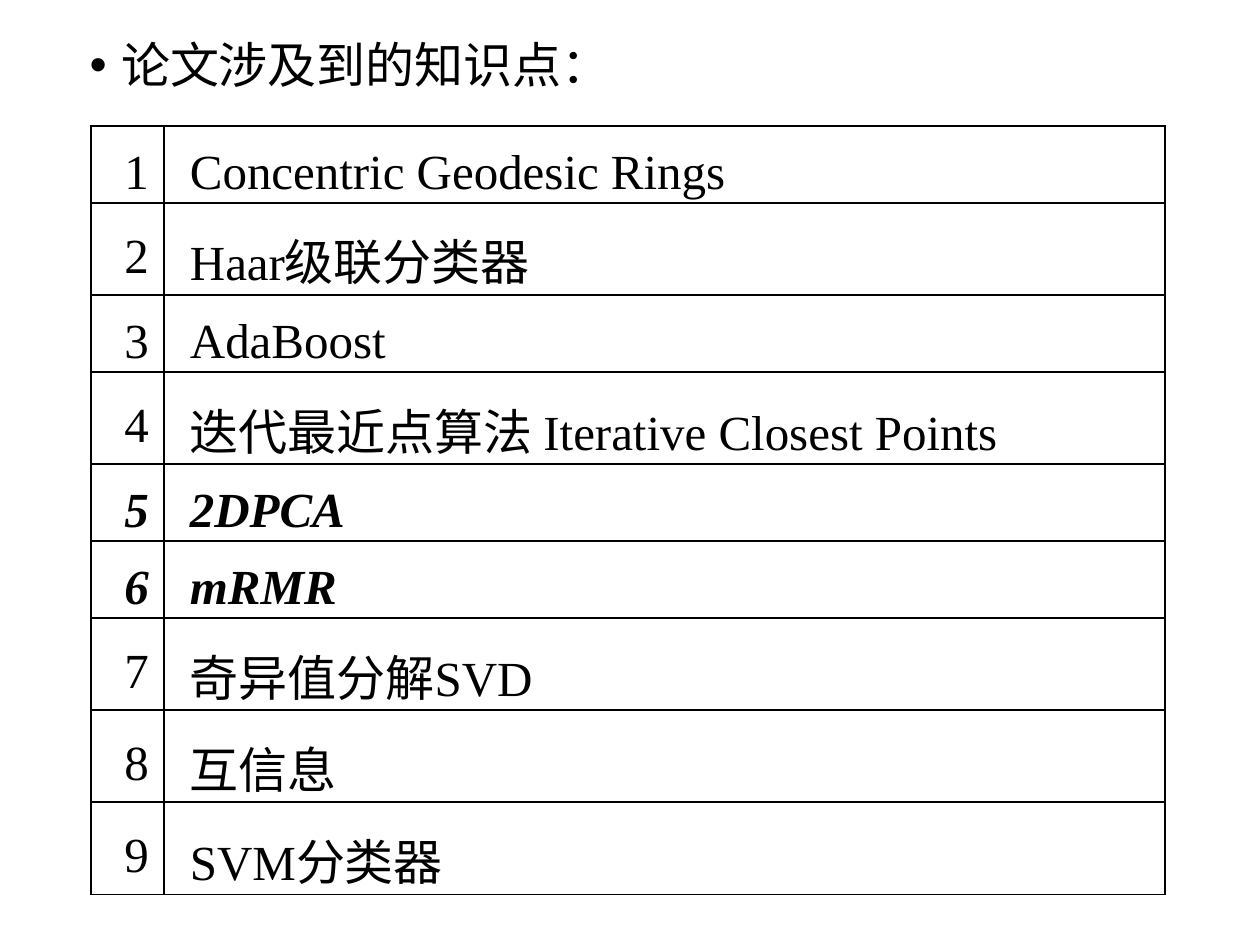
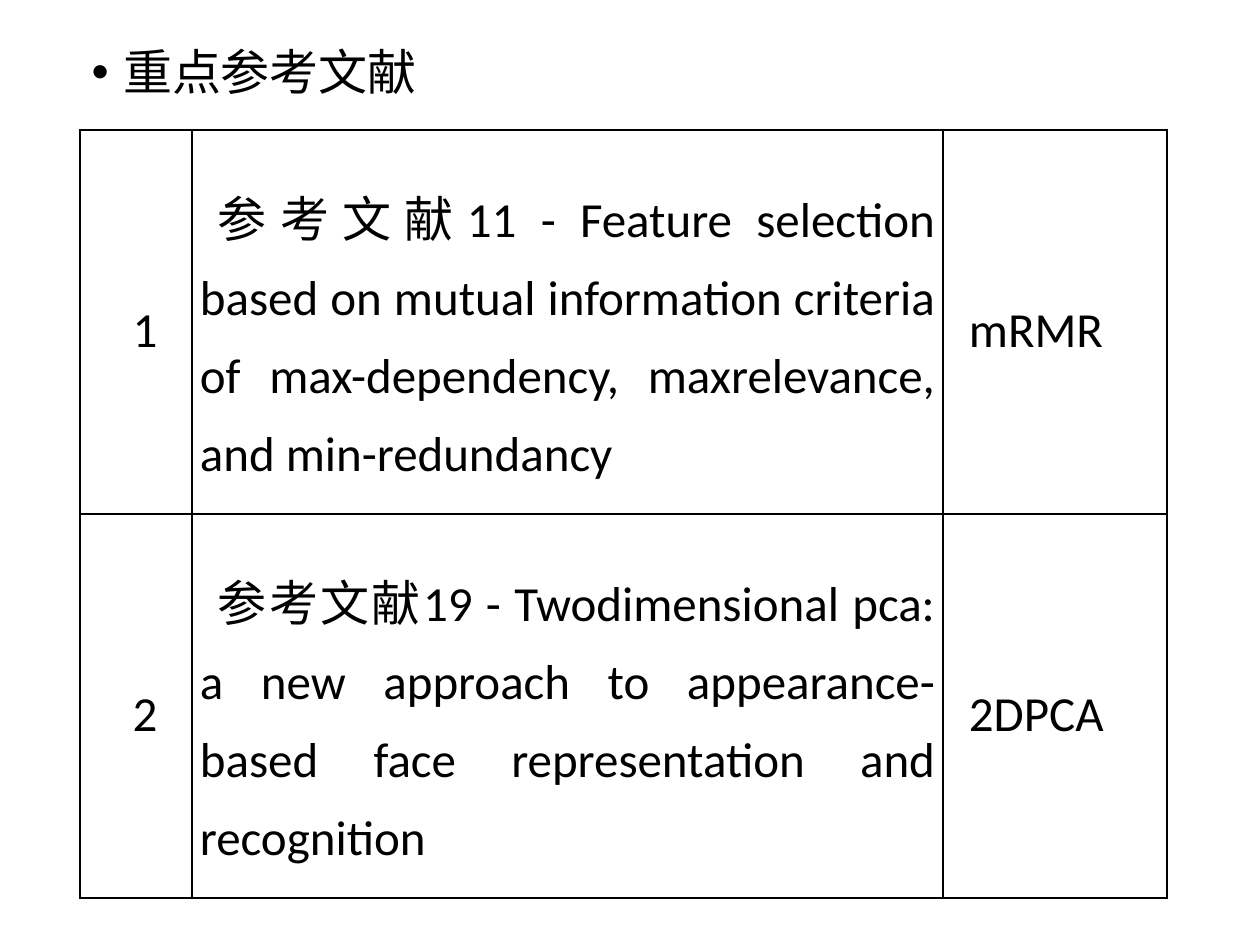
from pptx import Presentation
from pptx.dml.color import RGBColor
from pptx.enum.text import MSO_ANCHOR, PP_ALIGN
from pptx.oxml import parse_xml
from pptx.oxml.ns import nsdecls
from pptx.util import Pt

PX = 914400 / 126
INK = {"text": "000000", "line": "000000", "page": "FFFFFF"}


def px(n):
    return round(n * PX)


def style(par, face, strong=False):
    for run in par.runs:
        font = run.font
        font.name, font.size = face, Pt(28)
        font.bold = font.italic = strong
        font.color.rgb = RGBColor.from_string(INK["text"])


topics = [
    "Concentric Geodesic Rings", "Haar级联分类器", "AdaBoost",
    "迭代最近点算法 Iterative Closest Points", "2DPCA", "mRMR",
    "奇异值分解SVD", "互信息", "SVM分类器",
]
papers = [
    ("参考文献11 - Feature selection based on mutual information criteria "
     "of max-dependency, maxrelevance, and min-redundancy", "mRMR"),
    ("参考文献19 - Twodimensional pca: a new approach to appearance-based "
     "face representation and recognition", "2DPCA"),
]
pages = [
    dict(head="论文涉及到的知识点：", body=(77, 35, 1086, 450), face="Times New Roman",
         left=91, top=126, cols=(73, 1001), high=77,
         rows=[(topic,) for topic in topics], strong=("2DPCA", "mRMR")),
    dict(head="重点参考文献", body=(79, 42, 1086, 600), face="Calibri",
         left=80, top=130, cols=(112, 751, 224), high=384,
         rows=papers, strong=()),
]

deck = Presentation()
deck.slide_width, deck.slide_height = px(1260), px(945)

for page in pages:
    slide = deck.slides.add_slide(deck.slide_layouts[1])
    slide.background.fill.solid()
    slide.background.fill.fore_color.rgb = RGBColor.from_string(INK["page"])
    title = slide.shapes.title.element
    title.getparent().remove(title)

    body = slide.placeholders[1]
    body.left, body.top, body.width, body.height = map(px, page["body"])
    body.text_frame.text = page["head"]
    par = body.text_frame.paragraphs[0]
    par.line_spacing, par.space_before = 0.9, Pt(10)
    props = par._p.get_or_add_pPr()
    props.set("marL", "228600")
    props.set("indent", "-228600")
    style(par, "Calibri")

    rows, cols = page["rows"], page["cols"]
    frame = slide.shapes.add_table(
        len(rows), len(cols), px(page["left"]), px(page["top"]),
        px(sum(cols)), px(page["high"] * len(rows)))
    table = frame.table
    table.first_row = table.horz_banding = False
    for col, wide in zip(table.columns, cols):
        col.width = px(wide)
    for r, row in enumerate(rows):
        table.rows[r].height = px(page["high"])
        strong = row[0] in page["strong"]
        for c, text in enumerate((str(r + 1), *row)):
            cell = table.cell(r, c)
            cell.text = text
            cell.vertical_anchor = MSO_ANCHOR.MIDDLE
            cell.margin_left = cell.margin_right = px(8)
            cell.margin_top = cell.margin_bottom = 0
            cell.fill.background()
            par = cell.text_frame.paragraphs[0]
            par.alignment = PP_ALIGN.JUSTIFY if c else PP_ALIGN.CENTER
            par.line_spacing = 1.3
            par._p.get_or_add_pPr().set("indent", str(px(18)))
            style(par, page["face"], strong)
            for k, side in enumerate("LRTB"):
                cell._tc.get_or_add_tcPr().insert(k, parse_xml(
                    f'<a:ln{side} {nsdecls("a")} w="12700"><a:solidFill>'
                    f'<a:srgbClr val="{INK["line"]}"/></a:solidFill></a:ln{side}>'))

deck.save("out.pptx")
